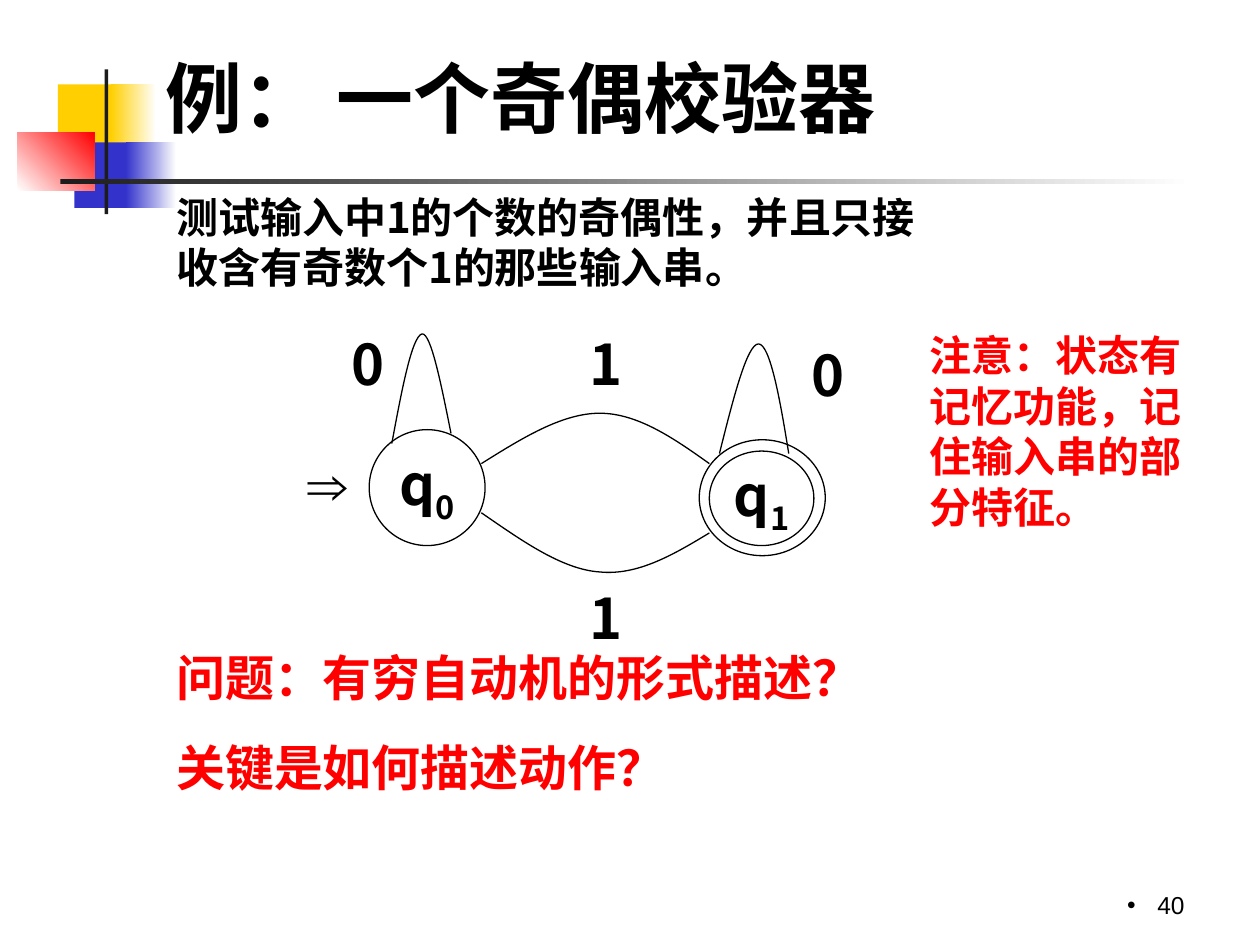
import pptx
import pptx.util
import pptx.dml.color
import pptx.enum.shapes
import pptx.enum.text
import pptx.oxml.ns
from dataclasses import dataclass
from lxml import etree

Inches = pptx.util.Inches
Pt = pptx.util.Pt
qualified = pptx.oxml.ns.qn
ALIGN = pptx.enum.text.PP_ALIGN
ANCHOR = pptx.enum.text.MSO_ANCHOR
SHAPES = pptx.enum.shapes.MSO_SHAPE


@dataclass(frozen=True)
class Theme:
    """Colours, fonts and type sizes of the slide."""
    black: str = "000000"
    white: str = "FFFFFF"
    red: str = "FF0000"
    yellow: str = "FFCF01"
    blue: str = "3333CC"
    charcoal: str = "1C1C1C"
    cjk: str = "Noto Sans CJK SC"
    accent: str = "Roboto"
    serif: str = "Times New Roman"
    sans: str = "Arial"
    title: int = 44
    diagram: int = 32
    question: int = 28
    body: int = 24
    number: int = 14
    line: float = 0.75


THEME = Theme()


def rgb(value):
    """Return a colour object for a hex string."""
    return pptx.dml.color.RGBColor.from_string(value)


def apply(target, values):
    """Set every attribute named in a dict of format values."""
    for name, value in values.items():
        setattr(target, name, value)


def add_run(paragraph, text, size, font, color=THEME.black, bold=True, baseline=None):
    """Append a formatted run to a paragraph."""
    run = paragraph.add_run()
    run.text = text
    apply(run.font, {"size": Pt(size), "name": font, "bold": bold})
    run.font.color.rgb = rgb(color)
    properties = run.font._element
    east_asian = etree.SubElement(properties, qualified("a:ea"))
    east_asian.set("typeface", THEME.cjk)
    if baseline:
        properties.set("baseline", str(baseline))


def add_text(slide, box, lines, size, font, color=THEME.black, bold=True,
             align=ALIGN.LEFT, anchor=ANCHOR.TOP, gap=0):
    """Add a wrapped text box with one paragraph per line."""
    frame = slide.shapes.add_textbox(*map(Inches, box)).text_frame
    apply(frame, {"word_wrap": True, "vertical_anchor": anchor})
    for index, line in enumerate(lines):
        paragraph = frame.add_paragraph() if index else frame.paragraphs[0]
        paragraph.alignment = align
        if index:
            paragraph.space_before = Pt(gap)
        add_run(paragraph, line, size, font, color, bold)
    return frame


def add_block(slide, box, color, end=None, angle=0):
    """Add a borderless rectangle, fading to an end colour if given."""
    shape = slide.shapes.add_shape(SHAPES.RECTANGLE, *map(Inches, box))
    shape.shadow.inherit = False
    shape.line.fill.background()
    if end is None:
        shape.fill.solid()
        shape.fill.fore_color.rgb = rgb(color)
        return
    shape.fill.gradient()
    shape.fill.gradient_angle = angle
    for stop, value, position in zip(shape.fill.gradient_stops, (color, end), (0, 1)):
        stop.color.rgb = rgb(value)
        stop.position = position


def outline(shape):
    """Give a shape the thin black line of the diagram."""
    shape.shadow.inherit = False
    shape.line.color.rgb = rgb(THEME.black)
    shape.line.width = Pt(THEME.line)


def add_state(slide, box, index=None):
    """Add a state circle, named q with a subscript if an index is given."""
    shape = slide.shapes.add_shape(SHAPES.OVAL, *map(Inches, box))
    outline(shape)
    shape.fill.solid()
    shape.fill.fore_color.rgb = rgb(THEME.white)
    if index is not None:
        frame = shape.text_frame
        apply(frame, {"word_wrap": False, "vertical_anchor": ANCHOR.MIDDLE})
        paragraph = frame.paragraphs[0]
        paragraph.alignment = ALIGN.CENTER
        add_run(paragraph, "q", THEME.diagram, THEME.cjk)
        add_run(paragraph, index, THEME.diagram, THEME.cjk, baseline=-25000)


def add_transition(slide, points):
    """Draw an open transition, turning each three segments into a cubic curve."""
    start, *rest = [(Inches(x), Inches(y)) for x, y in points]
    builder = slide.shapes.build_freeform(*start, scale=1.0)
    builder.add_line_segments(rest, close=False)
    shape = builder.convert_to_shape()
    outline(shape)
    shape.fill.background()
    segments = list(shape._element.iter(qualified("a:lnTo")))
    for first in range(0, len(segments), 3):
        curve = etree.Element(qualified("a:cubicBezTo"))
        segments[first].addprevious(curve)
        for segment in segments[first:first + 3]:
            curve.append(segment[0])
            segment.getparent().remove(segment)


def add_decoration(slide):
    """Add the coloured blocks and rules beside the title."""
    add_block(slide, (0.46, 0.67, 0.48, 0.52), THEME.yellow)
    add_block(slide, (0.88, 0.67, 0.36, 0.52), THEME.yellow, THEME.white)
    add_block(slide, (0.59, 1.13, 0.46, 0.52), THEME.blue)
    add_block(slide, (1, 1.13, 0.4, 0.52), THEME.blue, THEME.white)
    add_block(slide, (0.14, 1.05, 0.61, 0.46), THEME.white, THEME.red, angle=45)
    add_block(slide, (0.83, 0.55, 0.03, 1.15), THEME.charcoal)
    add_block(slide, (0.48, 1.42, 9, 0.04), THEME.charcoal, THEME.white)


def add_title(slide, text):
    """Place and fill the title placeholder."""
    title = slide.shapes.title
    apply(title, dict(zip(("left", "top", "width", "height"),
                          map(Inches, (1.21, 0.29, 6.23, 0.95)))))
    title.text_frame.vertical_anchor = ANCHOR.MIDDLE
    paragraph = title.text_frame.paragraphs[0]
    paragraph.alignment = ALIGN.LEFT
    add_run(paragraph, text, THEME.title, THEME.serif)


def add_slide_number(slide, text):
    """Add the bulleted slide number at the lower right."""
    frame = add_text(slide, (7.17, 6.83, 2.33, 0.52), [text], THEME.number, THEME.sans,
                     bold=False, align=ALIGN.RIGHT, anchor=ANCHOR.BOTTOM)
    properties = frame.paragraphs[0]._p.get_or_add_pPr()
    properties.set("marL", str(Inches(0.24)))
    properties.set("indent", str(-Inches(0.24)))
    for tag, name, value in (("a:buFont", "typeface", THEME.sans),
                             ("a:buChar", "char", "•")):
        etree.SubElement(properties, qualified(tag)).set(name, value)


def add_automaton(slide):
    """Draw the two-state parity checker."""
    add_state(slide, (2.93, 3.41, 0.92, 0.92), "0")
    add_state(slide, (5.55, 3.49, 1, 0.92))
    for text, left, top in (("0", 2.69, 2.57), ("0", 6.34, 2.65),
                            ("1", 4.58, 2.57), ("1", 4.58, 4.58)):
        add_text(slide, (left, top, 0.42, 0.64), [text], THEME.diagram, THEME.cjk)
    add_state(slide, (5.63, 3.58, 0.83, 0.75), "1")
    add_text(slide, (1.77, 3.52, 1.67, 0.64), ["⇒"], THEME.diagram, THEME.sans,
             align=ALIGN.CENTER)
    for points in (
        ((3.11, 3.52), (3.19, 3.09), (3.27, 2.67), (3.35, 2.65),
         (3.42, 2.64), (3.5, 3.04), (3.58, 3.44)),
        ((5.71, 3.6), (5.82, 3.16), (5.93, 2.73), (6.02, 2.73),
         (6.11, 2.73), (6.19, 3.16), (6.26, 3.6)),
        ((3.82, 3.68), (4.14, 3.48), (4.46, 3.28), (4.76, 3.28),
         (5.06, 3.28), (5.35, 3.48), (5.63, 3.68)),
        ((5.63, 4.23), (5.35, 4.4), (5.06, 4.57), (4.76, 4.54),
         (4.46, 4.52), (4.14, 4.29), (3.82, 4.07)),
    ):
        add_transition(slide, points)


def main():
    """Build and save the parity checker slide."""
    presentation = pptx.Presentation()
    apply(presentation, {"slide_width": Inches(10), "slide_height": Inches(7.5)})
    slide = presentation.slides.add_slide(presentation.slide_layouts[5])
    add_decoration(slide)
    add_slide_number(slide, "40")
    add_title(slide, "例： 一个奇偶校验器")
    add_automaton(slide)
    add_text(slide, (1.3, 1.47, 6.22, 0.9),
             ["测试输入中1的个数的奇偶性，并且只接收含有奇数个1的那些输入串。"],
             THEME.body, THEME.cjk)
    add_text(slide, (1.3, 5.09, 5.98, 1.28), ["问题：有穷自动机的形式描述？", "关键是如何描述动作？"],
             THEME.question, THEME.accent, THEME.red, gap=17.5)
    add_text(slide, (7.28, 2.57, 2.44, 1.7), ["注意：状态有记忆功能，记住输入串的部分特征。"],
             THEME.body, THEME.accent, THEME.red)
    presentation.save("out.pptx")


if __name__ == "__main__":
    main()
